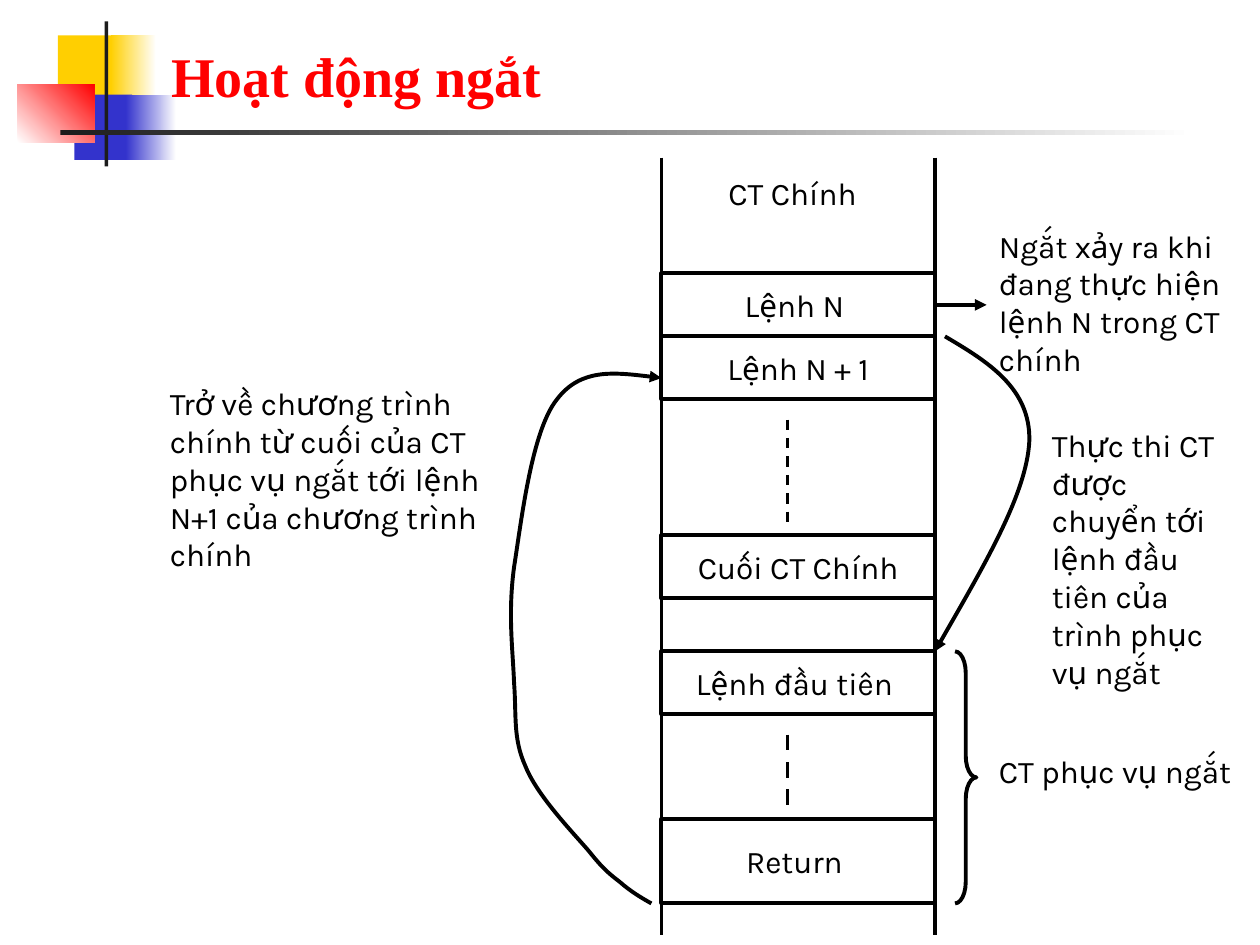
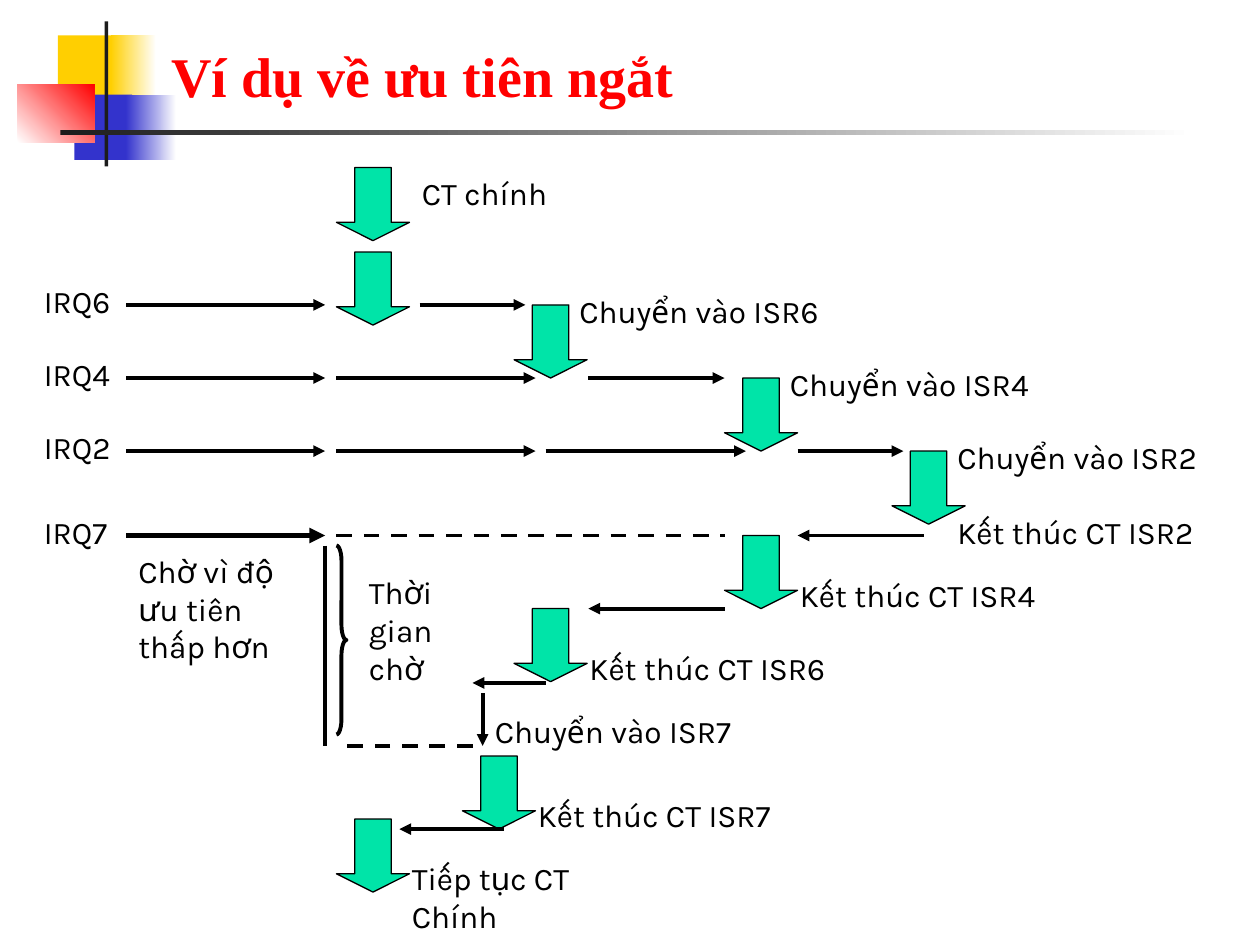
from lxml import etree
from pptx import Presentation
from pptx.dml.color import RGBColor
from pptx.enum import dml, shapes, text
from pptx.oxml import ns
from pptx.util import Inches, Pt

COLOURS = {
    "ink": "000000", "title": "FF0000", "arrow": "00E4A8", "white": "FFFFFF",
    "yellow": "FFCF01", "blue": "3333CC", "red": "FF0000", "rule": "1C1C1C",
}
# left, top, width, height, start colour, end colour, angle
BAND = [
    (0.46, 0.28, 0.48, 0.52, "yellow", "yellow", 0),
    (0.88, 0.28, 0.36, 0.52, "yellow", "white", 0),
    (0.59, 0.75, 0.46, 0.52, "blue", "blue", 0),
    (1, 0.75, 0.4, 0.52, "blue", "white", 0),
    (0.14, 0.67, 0.61, 0.46, "white", "red", 45),
    (0.83, 0.17, 0.03, 1.15, "rule", "rule", 0),
    (0.48, 1.03, 9, 0.04, "rule", "white", 0),
]


def write(box, words, size=18, font="Karla", colour="ink", bold=False,
          align=text.PP_ALIGN.LEFT, anchor=text.MSO_ANCHOR.TOP, wrap=True):
    frame = box.text_frame
    frame.word_wrap = wrap
    frame.vertical_anchor = anchor
    para = frame.paragraphs[0]
    para.alignment = align
    span = para.add_run()
    span.text = words
    span.font.size = Pt(size)
    span.font.name = font
    span.font.bold = bold
    span.font.color.rgb = RGBColor.from_string(COLOURS[colour])


def stroke(shape, width=2.25, dash=False, arrow=False):
    """Give a shape or connector a black line and no shadow."""
    shape.line.color.rgb = RGBColor.from_string(COLOURS["ink"])
    shape.line.width = Pt(width)
    if dash:
        shape.line.dash_style = dml.MSO_LINE.DASH
    properties = shape._element.spPr
    if arrow:
        line = properties.find(ns.qn("a:ln"))
        etree.SubElement(line, ns.qn("a:tailEnd"), type="triangle")
    etree.SubElement(properties, ns.qn("a:effectLst"))


deck = Presentation()
deck.slide_width, deck.slide_height = Inches(10), Inches(7.5)

# Shared band and title
pages = []
for title in ("Hoạt động ngắt", "Ví dụ về ưu tiên ngắt"):
    page = deck.slides.add_slide(deck.slide_layouts[6])
    pages.append(page)
    for *place, start, end, angle in BAND:
        block = page.shapes.add_shape(shapes.MSO_SHAPE.RECTANGLE, *map(Inches, place))
        block.shadow.inherit = False
        block.line.fill.background()
        if start == end:
            block.fill.solid()
            block.fill.fore_color.rgb = RGBColor.from_string(COLOURS[start])
        else:
            block.fill.gradient()
            block.fill.gradient_angle = angle
            for stop, name in zip(block.fill.gradient_stops, (start, end)):
                stop.color.rgb = RGBColor.from_string(COLOURS[name])
    heading = page.shapes.add_textbox(*map(Inches, (1.26, 0.23, 8.52, 0.68)))
    write(heading, title, size=32, font="Times New Roman", colour="title", bold=True,
          anchor=text.MSO_ANCHOR.BOTTOM)
memory_page, priority_page = pages

# Memory column
COLUMN_LEFT, COLUMN_WIDTH = 5.25, 2.17
COLUMN_RIGHT = COLUMN_LEFT + COLUMN_WIDTH
cells = {}
for words, top, height in [
    ("Lệnh N ", 2.17, 0.5),
    ("Lệnh N + 1", 2.67, 0.5),
    ("Cuối CT Chính", 4.25, 0.5),
    ("Lệnh đầu tiên ", 5.17, 0.5),
    ("Return ", 6.5, 0.67),
]:
    cell = memory_page.shapes.add_shape(
        shapes.MSO_SHAPE.RECTANGLE, *map(Inches, (COLUMN_LEFT, top, COLUMN_WIDTH, height)))
    cell.fill.background()
    stroke(cell)
    write(cell, words, align=text.PP_ALIGN.CENTER, anchor=text.MSO_ANCHOR.MIDDLE, wrap=False)
    cells[words.strip()] = cell

# Curved jumps: a start point, then three points for each Bézier segment
JUMP_TO_ROUTINE = [
    (7.5, 2.67), (7.84, 2.87), (8.18, 3.08), (8.17, 3.5),
    (8.15, 3.92), (7.78, 4.54), (7.42, 5.17),
]
RETURN_TO_MAIN = [
    (5.17, 7.17), (5.08, 7.12), (5, 7.07), (4.92, 7),
    (4.83, 6.93), (4.79, 6.9), (4.67, 6.75), (4.54, 6.6), (4.26, 6.31), (4.17, 6.08),
    (4.07, 5.86), (4.1, 5.68), (4.08, 5.42), (4.07, 5.15), (4.03, 4.87), (4.08, 4.5),
    (4.14, 4.12), (4.22, 3.42), (4.42, 3.17), (4.61, 2.92), (4.93, 2.96), (5.25, 3),
]
for points in (JUMP_TO_ROUTINE, RETURN_TO_MAIN):
    start, *controls = [(Inches(x), Inches(y)) for x, y in points]
    builder = memory_page.shapes.build_freeform(*start)
    builder.add_line_segments(controls, close=False)
    curve = builder.convert_to_shape()
    curve.fill.background()
    stroke(curve, arrow=True)
    outline = curve._element.spPr.find(".//" + ns.qn("a:path"))
    segments = outline.findall(ns.qn("a:lnTo"))
    for first in range(0, len(segments), 3):
        bezier = etree.SubElement(outline, ns.qn("a:cubicBezTo"))
        for segment in segments[first:first + 3]:
            bezier.append(segment[0])
            outline.remove(segment)

# Interrupt levels: label, height on the page, line width of the request
LEVELS = [("IRQ6", 2.42, 2.25), ("IRQ4", 3, 2.25), ("IRQ2", 3.58, 2.25), ("IRQ7", 4.25, 3)]

# Program flow
ARROW_SIZE = 0.58
for left, top in [
    (2.67, 1.33), (2.67, 2), (4.08, 2.42), (5.75, 3), (7.08, 3.58),
    (5.75, 4.25), (4.08, 4.83), (3.67, 6), (2.67, 6.5),
]:
    flow = priority_page.shapes.add_shape(
        shapes.MSO_SHAPE.DOWN_ARROW, *map(Inches, (left, top, ARROW_SIZE, ARROW_SIZE)))
    flow.adjustments[0], flow.adjustments[1] = 0.5, 0.25
    flow.fill.solid()
    flow.fill.fore_color.rgb = RGBColor.from_string(COLOURS["arrow"])
    stroke(flow, width=0.75)

# Straight lines: page, start, end, format
DASH, ARROW = {"dash": True}, {"arrow": True}
lines = [
    (memory_page, (COLUMN_LEFT, 1.25), (COLUMN_LEFT, 7.42), {}),
    (memory_page, (COLUMN_RIGHT, 1.25), (COLUMN_RIGHT, 7.42), {}),
    (memory_page, (6.25, 3.33), (6.25, 4.17), {"dash": True, "width": 1.5}),
    (memory_page, (6.25, 5.83), (6.25, 6.42), DASH),
    (priority_page, (2.58, 4.33), (2.58, 5.92), {}),
    (priority_page, (2.67, 4.25), (5.75, 4.25), DASH),
    (priority_page, (3.75, 5.92), (2.67, 5.92), DASH),
    (priority_page, (3.83, 5.5), (3.83, 5.92), ARROW),
]
for label, y, width in LEVELS:
    lines.append((priority_page, (1, y), (2.58, y), {"arrow": True, "width": width}))
for start, end, y in [
    (3.33, 4.17, 2.42), (2.67, 4.25, 3), (4.67, 5.75, 3),
    (2.67, 4.25, 3.58), (4.33, 5.92, 3.58), (6.33, 7.17, 3.58),
    (7.33, 6.33, 4.25), (5.75, 4.67, 4.83), (4.33, 3.75, 5.42), (4, 3.17, 6.58),
]:
    lines.append((priority_page, (start, y), (end, y), ARROW))
for page, start, end, style in lines:
    line = page.shapes.add_connector(
        shapes.MSO_CONNECTOR.STRAIGHT, *map(Inches, (*start, *end)))
    stroke(line, **style)

interrupt = memory_page.shapes.add_connector(
    shapes.MSO_CONNECTOR.STRAIGHT, *map(Inches, (COLUMN_RIGHT, 2.42, 7.83, 2.42)))
interrupt.begin_connect(cells["Lệnh N"], 3)
stroke(interrupt, arrow=True)

# Braces: page, place, corner depth
for page, place, depth in [
    (memory_page, (7.58, 5.17, 0.17, 2), 1),
    (priority_page, (2.67, 4.33, 0.08, 1.5), 1.5),
]:
    brace = page.shapes.add_shape(shapes.MSO_SHAPE.RIGHT_BRACE, *map(Inches, place))
    brace.adjustments[0], brace.adjustments[1] = depth, 0.5
    brace.fill.background()
    stroke(brace)

# Labels: page, words, left, top, width, height
labels = [
    (memory_page, "CT phục vụ ngắt", 7.83, 5.92, 2.17, 0.4),
    (memory_page, "Thực thi CT được chuyển tới lệnh đầu tiên của trình phục vụ ngắt",
     8.25, 3.33, 1.67, 2.2),
    (memory_page, "Ngắt xảy ra khi đang thực hiện lệnh N trong CT chính", 7.83, 1.75, 2, 1.3),
    (memory_page, "Trở về chương trình chính từ cuối của CT phục vụ ngắt tới lệnh N+1 "
     "của chương trình chính", 1.25, 3, 2.83, 1.6),
    (priority_page, "CT chính", 3.25, 1.33, 1.33, 0.4),
    (priority_page, "Tiếp tục CT Chính", 3.17, 6.77, 2.17, 0.7),
    (priority_page, "Thời gian chờ", 2.83, 4.5, 0.83, 1),
    (priority_page, "Chờ vì độ ưu tiên thấp hơn", 1, 4.33, 1.42, 1),
]
for label, y, width in LEVELS:
    labels.append((priority_page, label, 0.25, y - 0.23, 0.83, 0.4))
for routine, enter, leave in [
    ("ISR6", (4.5, 2.27), (4.58, 5.1)),
    ("ISR4", (6.17, 2.85), (6.25, 4.52)),
    ("ISR2", (7.5, 3.43), (7.5, 4.02)),
    ("ISR7", (3.83, 5.6), (4.17, 6.27)),
]:
    labels.append((priority_page, f"Chuyển vào {routine}", *enter, 2.17, 0.4))
    labels.append((priority_page, f"Kết thúc CT {routine}", *leave, 2.17, 0.4))
for page, words, *place in labels:
    write(page.shapes.add_textbox(*map(Inches, place)), words)

main_program = memory_page.shapes.add_textbox(*map(Inches, (5.58, 1.33, 1.42, 0.4)))
write(main_program, "CT Chính", align=text.PP_ALIGN.CENTER)

deck.save("out.pptx")
